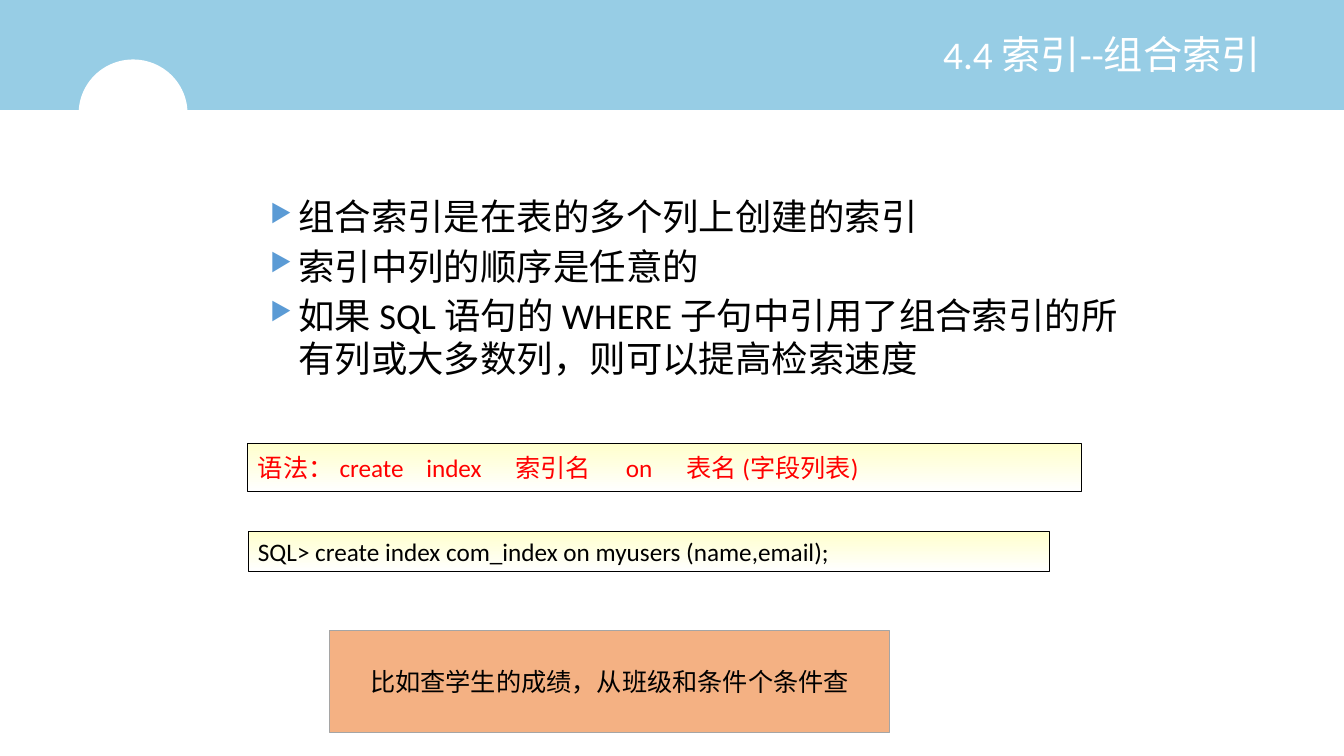
"""Build the slide on composite indexes."""
from lxml import etree
from pptx import Presentation
from pptx.dml.color import RGBColor
from pptx.enum.shapes import MSO_SHAPE as Shape
from pptx.enum.text import MSO_ANCHOR as Anchor, PP_ALIGN as Align
from pptx.oxml.ns import qn
from pptx.util import Inches, Pt

TITLE = "4.4 索引--组合索引"
POINTS = [
    "组合索引是在表的多个列上创建的索引",
    "索引中列的顺序是任意的",
    "如果 SQL 语句的 WHERE 子句中引用了组合索引的所有列或大多数列，则可以提高检索速度",
]
SYNTAX = ["语法：", "create", "index", "索引名", "on", "表名 (字段列表)"]
SYNTAX_STOPS = [0.81, 1.67, 2.55, 3.65, 4.25]
EXAMPLE = "SQL> create index com_index on myusers (name,email);"
REMARK = "比如查学生的成绩，从班级和条件个条件查"

FONT = "Calibri"
COLORS = {
    "band": "97CDE5", "white": "FFFFFF", "black": "000000", "red": "FF0000",
    "bullet": "5B9BD5", "cream": "FFFFCC", "orange": "F4B183", "gray": "A5A5A5",
}
LEFT = 2.46


def rgb(name):
    return RGBColor.from_string(COLORS[name])


def add_panel(slide, box, fill, line=None, width=0.75, kind=Shape.RECTANGLE):
    panel = slide.shapes.add_shape(kind, *map(Inches, box))
    panel.shadow.inherit = False
    if isinstance(fill, tuple):
        panel.fill.gradient()
        panel.fill.gradient_angle = 270
        for stop, name in zip(panel.fill.gradient_stops, fill):
            stop.color.rgb = rgb(name)
    else:
        panel.fill.solid()
        panel.fill.fore_color.rgb = rgb(fill)
    if line:
        panel.line.color.rgb = rgb(line)
        panel.line.width = Pt(width)
    else:
        panel.line.fill.background()
    return panel


def write(holder, lines, size, color, align=Align.LEFT, anchor=Anchor.MIDDLE, prepare=None):
    frame = holder.text_frame
    frame.word_wrap = True
    frame.vertical_anchor = anchor
    for index, line in enumerate(lines):
        paragraph = frame.add_paragraph() if index else frame.paragraphs[0]
        paragraph.text = line
        paragraph.alignment = align
        if index:
            paragraph.space_before = Pt(4)
        if prepare:
            prepare(paragraph._p.get_or_add_pPr())
        font = paragraph.font
        font.name, font.size, font.color.rgb = FONT, Pt(size), rgb(color)
    return frame


def add_bullet(props):
    props.set("marL", str(Inches(0.4)))
    props.set("indent", str(Inches(-0.28)))
    color = etree.SubElement(props, qn("a:buClr"))
    etree.SubElement(color, qn("a:srgbClr"), val=COLORS["bullet"])
    etree.SubElement(props, qn("a:buSzPct"), val="68000")
    etree.SubElement(props, qn("a:buChar"), char="▶")


def add_tabs(props):
    stops = etree.SubElement(props, qn("a:tabLst"))
    for stop in SYNTAX_STOPS:
        etree.SubElement(stops, qn("a:tab"), pos=str(Inches(stop)), algn="l")


def main():
    deck = Presentation()
    deck.slide_width, deck.slide_height = Inches(13.33), Inches(7.5)
    slide = deck.slides.add_slide(deck.slide_layouts[6])

    add_panel(slide, (0, 0, 13.33, 1.09), "band")
    add_panel(slide, (0.78, 0.59, 1.08, 1.07), "white", kind=Shape.OVAL)

    title = slide.shapes.add_textbox(*map(Inches, (7.85, 0.01, 4.75, 1.11)))
    write(title, [TITLE], 28, "white", Align.RIGHT).paragraphs[0].line_spacing = 0.9

    points = slide.shapes.add_textbox(*map(Inches, (LEFT, 1.88, 9, 2.52)))
    write(points, POINTS, 26, "black", anchor=Anchor.TOP, prepare=add_bullet)

    cream = ("cream", "white")
    syntax = add_panel(slide, (LEFT, 4.4, 8.27, 0.48), cream, "black")
    write(syntax, ["\t".join(SYNTAX)], 18, "red", prepare=add_tabs)
    example = add_panel(slide, (LEFT, 5.27, 7.95, 0.4), cream, "black")
    write(example, [EXAMPLE], 18, "black")
    remark = add_panel(slide, (3.27, 6.25, 5.55, 1.02), "orange", "gray", 0.5)
    write(remark, [REMARK], 18, "black", Align.CENTER)

    deck.save("out.pptx")


if __name__ == "__main__":
    main()
